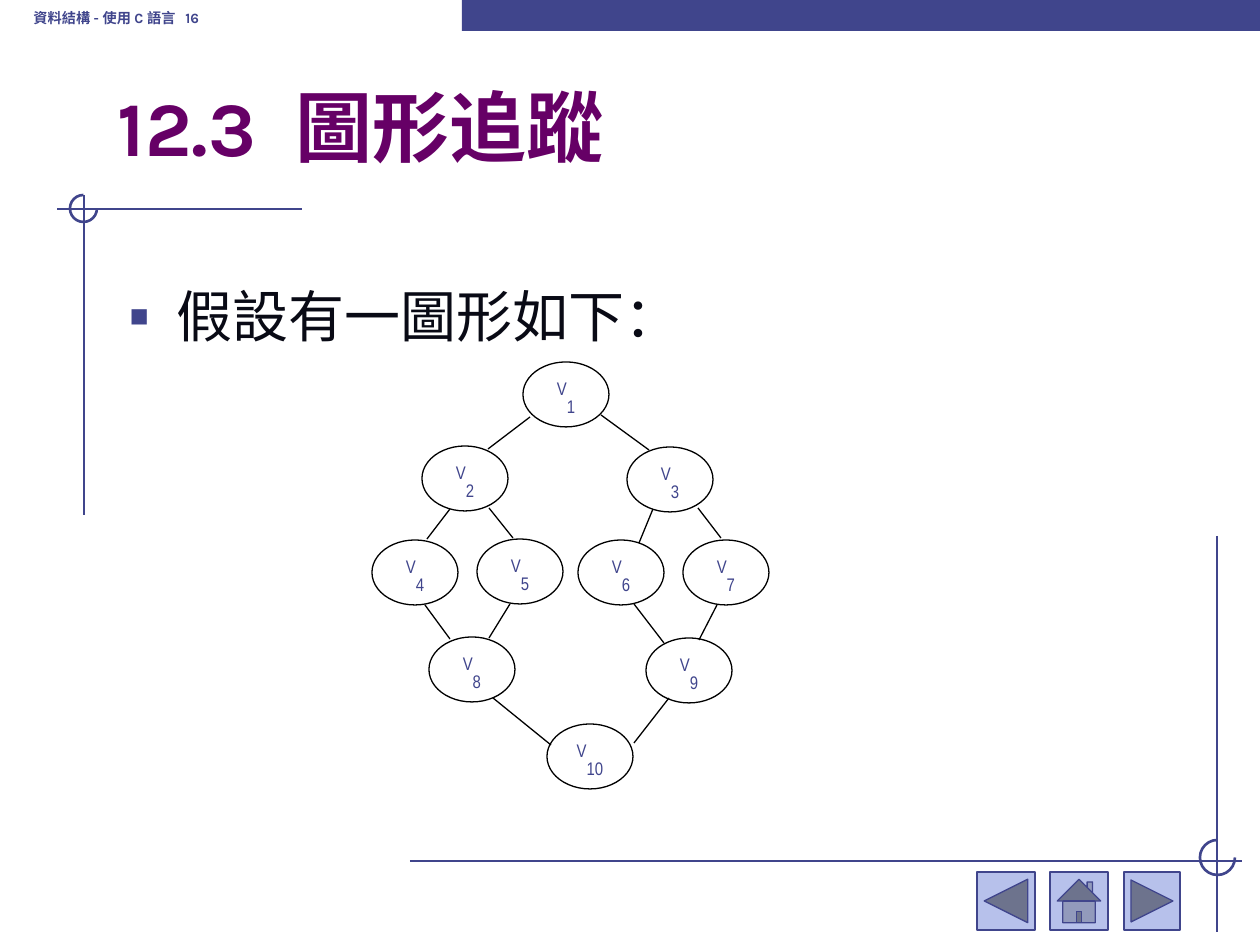
from typing import NamedTuple

from lxml import etree
from pptx import Presentation
from pptx.dml.color import RGBColor
from pptx.enum.shapes import MSO_CONNECTOR, MSO_SHAPE
from pptx.enum.text import MSO_ANCHOR, MSO_AUTO_SIZE, PP_ALIGN
from pptx.oxml.ns import qn
from pptx.util import Emu, Pt

STRAIGHT = MSO_CONNECTOR.STRAIGHT
RECT, OVAL, ARC = MSO_SHAPE.RECTANGLE, MSO_SHAPE.OVAL, MSO_SHAPE.ARC
BACK = MSO_SHAPE.ACTION_BUTTON_BACK_OR_PREVIOUS
HOME = MSO_SHAPE.ACTION_BUTTON_HOME
NEXT = MSO_SHAPE.ACTION_BUTTON_FORWARD_OR_NEXT
BOTTOM, MIDDLE = MSO_ANCHOR.BOTTOM, MSO_ANCHOR.MIDDLE
LEFT, CENTER = PP_ALIGN.LEFT, PP_ALIGN.CENTER
NO_FIT = MSO_AUTO_SIZE.NONE

COLORS = {"navy": "40458C", "button": "B7C1EB", "title": "660066",
          "body": "090A15", "black": "000000"}
PX = 914400 / 126
NODE_W, NODE_H = 86, 65
SUPERSCRIPT, SUBSCRIPT = 30000, -25000


class Node(NamedTuple):
    number: int
    x: int
    y: int


class Line(NamedTuple):
    x1: int
    y1: int
    x2: int
    y2: int


class Button(NamedTuple):
    kind: MSO_SHAPE
    x: int
    w: int


NODES = [Node(1, 523, 362), Node(2, 422, 446), Node(3, 627, 447),
         Node(4, 372, 540), Node(5, 477, 539), Node(6, 578, 540),
         Node(7, 683, 540), Node(8, 429, 637), Node(9, 646, 638),
         Node(10, 547, 724)]
EDGES = [Line(488, 449, 530, 417), Line(601, 415, 649, 450),
         Line(450, 509, 427, 539), Line(489, 508, 513, 538),
         Line(653, 509, 639, 543), Line(698, 508, 721, 538),
         Line(425, 605, 450, 639), Line(510, 604, 489, 638),
         Line(634, 604, 664, 643), Line(717, 605, 699, 640),
         Line(493, 698, 551, 745), Line(669, 698, 634, 743)]
RULES = [Line(302, 209, 57, 209), Line(84, 195, 84, 515),
         Line(410, 861, 1242, 861), Line(1217, 536, 1217, 932)]
BUTTONS = [Button(HOME, 1050, 58), Button(NEXT, 1124, 56), Button(BACK, 977, 58)]


def px(*values: int) -> list[Emu]:
    return [Emu(round(v * PX)) for v in values]


def rgb(name: str) -> RGBColor:
    return RGBColor.from_string(COLORS[name])


def style_run(r, font: str, size: int, color: str, bold: bool = False, baseline: int = 0) -> None:
    r.font.name, r.font.size, r.font.bold = font, Pt(size), bold
    r.font.color.rgb = rgb(color)
    if baseline:
        r.font._element.set("baseline", str(baseline))


def add_shape(s, kind, x: int, y: int, w: int, h: int, fill: str = "",
              line: str = "", width: float = 0.75):
    sp = s.shapes.add_shape(kind, *px(x, y, w, h))
    sp.shadow.inherit = False
    if fill:
        sp.fill.solid()
        sp.fill.fore_color.rgb = rgb(fill)
    else:
        sp.fill.background()
    if line:
        sp.line.color.rgb = rgb(line)
        sp.line.width = Pt(width)
    else:
        sp.line.fill.background()
    return sp


def add_line(s, line: Line, color: str, width: float) -> None:
    c = s.shapes.add_connector(STRAIGHT, *px(*line))
    c.line.color.rgb = rgb(color)
    c.line.width = Pt(width)
    etree.SubElement(c._element.spPr, qn("a:effectLst"))


def add_open_circle(s, x: int, y: int, size: int) -> None:
    sp = add_shape(s, ARC, x, y, size, size, line="navy", width=1.5)
    # Arc angles: 0.6 adjustment units per degree
    sp.adjustments[0], sp.adjustments[1] = 0, 270 * 0.6


def add_text(s, x: int, y: int, w: int, h: int, text: str):
    tf = s.shapes.add_textbox(*px(x, y, w, h)).text_frame
    tf.word_wrap = True
    tf.text = text
    return tf


def add_node(s, node: Node) -> None:
    sp = add_shape(s, OVAL, node.x, node.y, NODE_W, NODE_H, line="black")
    tf = sp.text_frame
    tf.margin_left = tf.margin_right = tf.margin_top = tf.margin_bottom = 0
    tf.vertical_anchor = MIDDLE
    p = tf.paragraphs[0]
    p.alignment, p.line_spacing = CENTER, 0.96
    for text, baseline in (("V", SUPERSCRIPT), (str(node.number), SUBSCRIPT)):
        r = p.add_run()
        r.text = text
        style_run(r, "Arial Narrow", 18, "navy", baseline=baseline)


def add_bullet(p, char: str, color: str, percent: int, indent: int) -> None:
    pPr = p._p.get_or_add_pPr()
    pPr.set("marL", str(px(indent)[0]))
    pPr.set("indent", str(px(-indent)[0]))
    clr = etree.SubElement(pPr, qn("a:buClr"))
    etree.SubElement(clr, qn("a:srgbClr"), val=COLORS[color])
    etree.SubElement(pPr, qn("a:buSzPct"), val=str(percent * 1000))
    etree.SubElement(pPr, qn("a:buFont"), typeface="Arial")
    etree.SubElement(pPr, qn("a:buChar"), char=char)


def main() -> None:
    prs = Presentation()
    prs.slide_width, prs.slide_height = px(1260, 945)
    s = prs.slides.add_slide(prs.slide_layouts[5])

    # Frame: top bar, rules, corner circles and navigation buttons
    add_shape(s, RECT, 462, 0, 798, 31, fill="navy")
    for rule in RULES:
        add_line(s, rule, "navy", 1.5)
    add_open_circle(s, 70, 195, 27)
    add_open_circle(s, 1200, 840, 35)
    for button in BUTTONS:
        add_shape(s, button.kind, button.x, 872, button.w, 58, "button", "navy")

    # Running header
    tf = add_text(s, 21, -21, 388, 63, "資料結構 - 使用 C 語言   16")
    tf.vertical_anchor = BOTTOM
    style_run(tf.paragraphs[0].runs[0], "Karla", 14, "navy", True, SUPERSCRIPT)

    # Title
    title = s.shapes.title
    title.left, title.top, title.width, title.height = px(105, 73, 1071, 105)
    tf = title.text_frame
    tf.text = "12.3  圖形追蹤"
    tf.auto_size, tf.vertical_anchor = NO_FIT, BOTTOM
    tf.paragraphs[0].alignment = LEFT
    style_run(tf.paragraphs[0].runs[0], "Karla", 44, "title", True)

    # Body
    tf = add_text(s, 116, 275, 1060, 513, "假設有一圖形如下：")
    p = tf.paragraphs[0]
    add_bullet(p, "▪", "navy", 110, 48)
    style_run(p.runs[0], "Arial", 32, "body")

    # Graph
    for node in NODES:
        add_node(s, node)
    for edge in EDGES:
        add_line(s, edge, "black", 0.75)

    prs.save("out.pptx")


if __name__ == "__main__":
    main()
